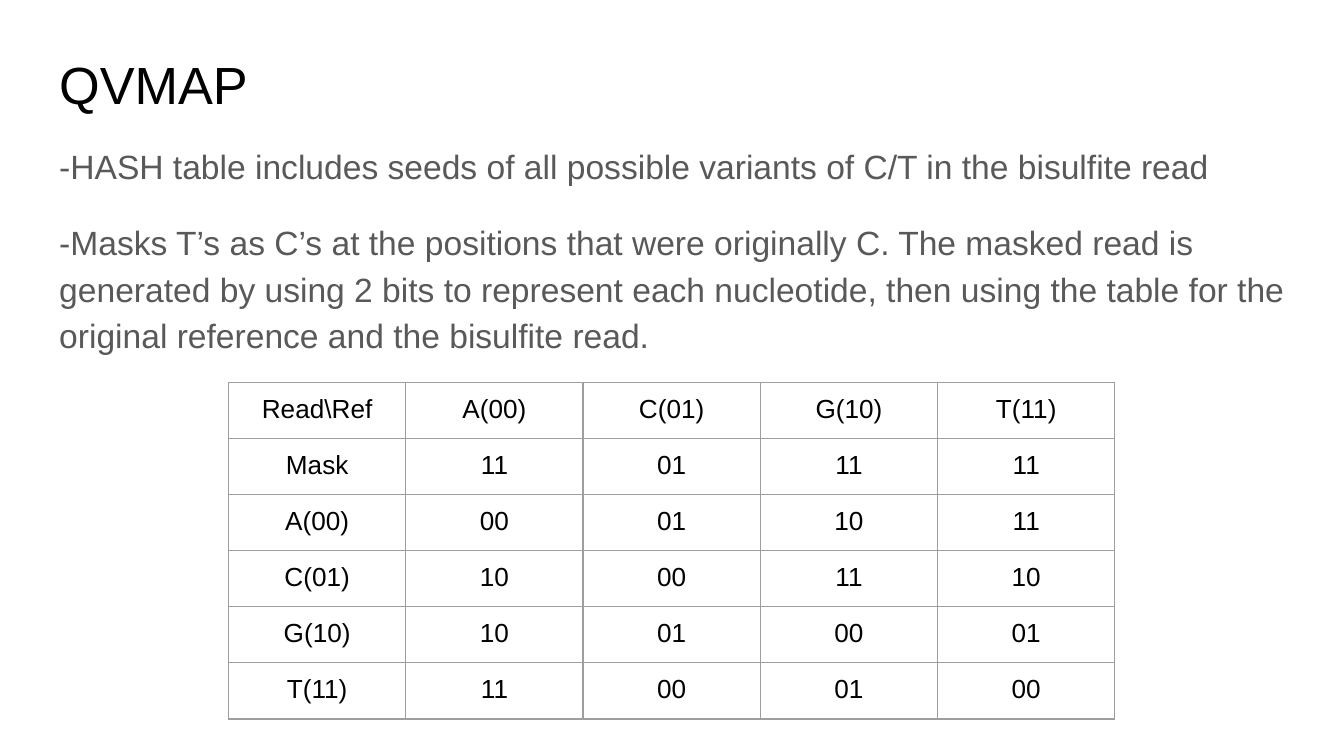
"""Build the QVMAP slide with its masking table."""
from dataclasses import dataclass

from lxml import etree
from pptx import Presentation
from pptx import util as u
from pptx.dml import color
from pptx.enum import text
from pptx.oxml import ns


@dataclass
class Theme:
    font: str = "Arial"
    title_color: str = "000000"
    body_color: str = "595959"
    border_color: str = "9E9E9E"
    title_size: int = 28
    body_size: int = 18
    table_size: int = 14


def style_paragraph(paragraph, size, rgb):
    for run in paragraph.runs:
        run.font.name = theme.font
        run.font.size = u.Pt(size)
        run.font.color.rgb = color.RGBColor.from_string(rgb)


def add_text(top, height, lines, size, rgb):
    box = slide.shapes.add_textbox(u.Cm(0.87), u.Cm(top), u.Cm(23.67), u.Cm(height))
    frame = box.text_frame
    frame.word_wrap = True
    frame.margin_left = frame.margin_right = margin
    frame.margin_top = frame.margin_bottom = margin
    frame.text = "\n".join(lines)
    for paragraph in frame.paragraphs:
        style_paragraph(paragraph, size, rgb)
    return frame


theme = Theme()
margin = u.Cm(0.25)
cell_margin = u.Cm(0.23)
presentation = Presentation()
presentation.slide_width = u.Cm(25.4)
presentation.slide_height = u.Cm(14.29)
slide = presentation.slides.add_slide(presentation.slide_layouts[6])

add_text(0.74, 1.6, ["QVMAP"], theme.title_size, theme.title_color)
points = [
    "-HASH table includes seeds of all possible variants of C/T in the bisulfite read",
    "-Masks T’s as C’s at the positions that were originally C. The masked read is "
    "generated by using 2 bits to represent each nucleotide, then using the table for "
    "the original reference and the bisulfite read.",
]
body = add_text(2.4, 9.5, points, theme.body_size, theme.body_color)
for paragraph in body.paragraphs:
    paragraph.line_spacing = 1.15
    paragraph.space_after = u.Pt(16)

rows = [
    ["Read\\Ref", "A(00)", "C(01)", "G(10)", "T(11)"],
    ["Mask", "11", "01", "11", "11"],
    ["A(00)", "00", "01", "10", "11"],
    ["C(01)", "10", "00", "11", "10"],
    ["G(10)", "10", "01", "00", "01"],
    ["T(11)", "11", "00", "01", "00"],
]
column_width, row_height = u.Cm(3.35), u.Cm(1.06)
mask_table = slide.shapes.add_table(
    len(rows), len(rows[0]), u.Cm(4.32), u.Cm(7.23),
    column_width * len(rows[0]), row_height * len(rows),
).table
mask_table.first_row = False
mask_table.horz_banding = False
for column in mask_table.columns:
    column.width = column_width
for row, values in zip(mask_table.rows, rows):
    row.height = row_height
    for cell, value in zip(row.cells, values):
        cell.text = value
        cell.margin_left = cell.margin_right = margin
        cell.margin_top = cell.margin_bottom = cell_margin
        cell.fill.background()
        paragraph = cell.text_frame.paragraphs[0]
        paragraph.alignment = text.PP_ALIGN.CENTER
        style_paragraph(paragraph, theme.table_size, theme.title_color)
        properties = cell._tc.get_or_add_tcPr()
        for index, side in enumerate(("a:lnL", "a:lnR", "a:lnT", "a:lnB")):
            border = etree.Element(ns.qn(side), w=str(u.Pt(0.75)))
            fill = etree.SubElement(border, ns.qn("a:solidFill"))
            etree.SubElement(fill, ns.qn("a:srgbClr"), val=theme.border_color)
            properties.insert(index, border)

presentation.save("out.pptx")
